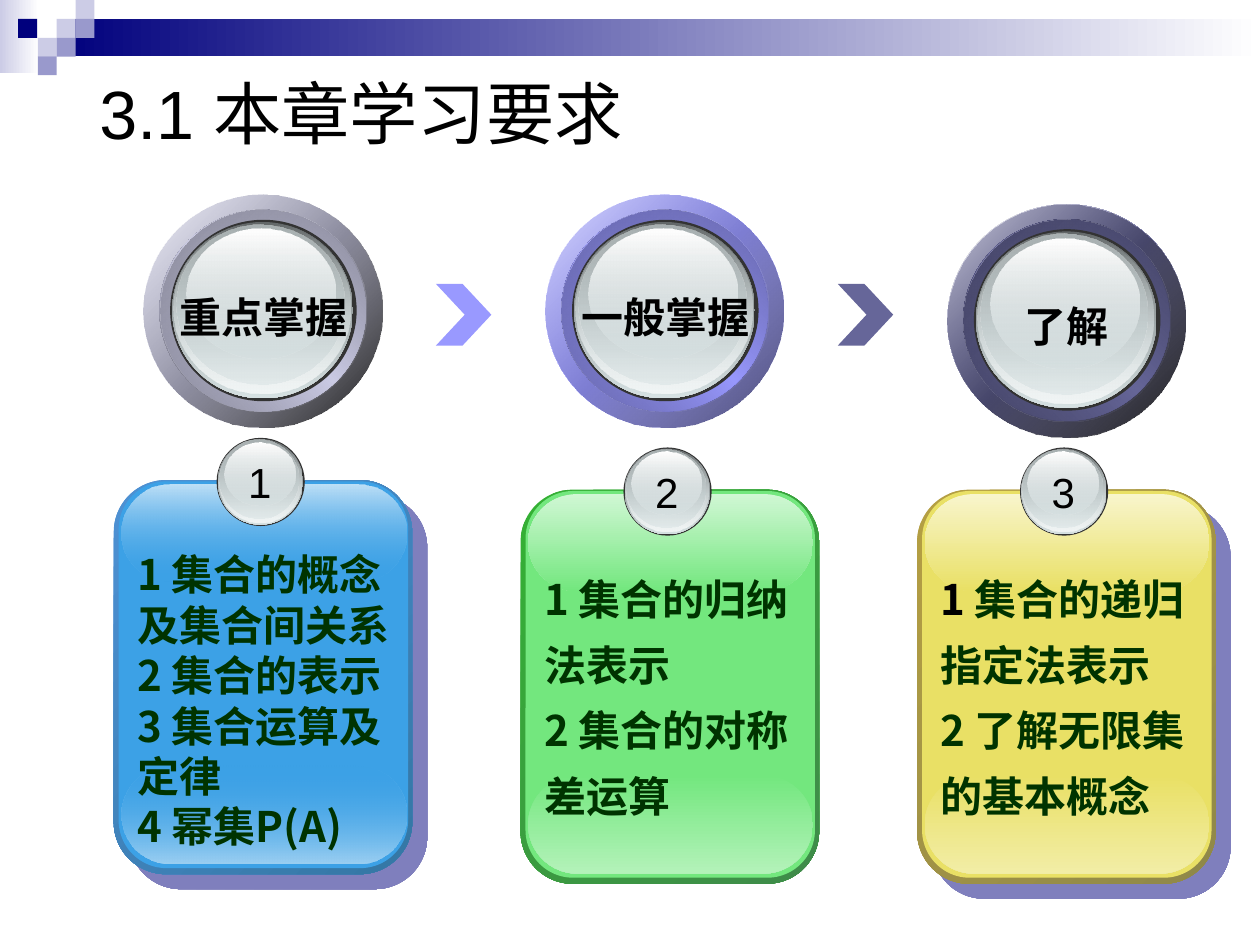
from lxml.etree import SubElement
from pptx import Presentation
from pptx.dml.color import RGBColor
from pptx.enum.shapes import MSO_SHAPE
from pptx.enum.text import MSO_ANCHOR, PP_ALIGN
from pptx.oxml.ns import qn
from pptx.util import Pt

HEX = {
    "white": "FFFFFF", "black": "000000", "navy": "00007D", "pale": "CCCCE6",
    "mauve": "9999CC", "lilac": "9999FF", "slate": "666699", "rim": "333333",
    "steel": "636869", "glass": "D6E1E2", "shine": "F1F5F5", "haze": "AAB2B3",
    "ink": "003300",
}
SANS, CJK = "Arial", "Noto Sans CJK SC"

TITLE = "3.1 本章学习要求"
# left, top, width, height, fill
BANNER = [
    (0, 0, 22.3, 41.8, [(0, "pale"), (100, "white")]),
    (32.4, 10.8, 687.6, 21.3, [(0, "navy"), (100, "white")]),
    (32.4, 10.8, 10.8, 10.8, "pale"), (43.2, 0, 10.8, 10.8, "pale"),
    (43.2, 10.8, 10.8, 10.8, "mauve"), (21.6, 21.6, 10.8, 10.8, "pale"),
    (10.4, 10.8, 10.8, 10.8, "navy"), (32.4, 21.6, 10.8, 10.8, "mauve"),
    (21.6, 32.2, 10.8, 10.8, "mauve"),
]
# label, top, base, deep rim, soft rim, far shade
RINGS = [
    ("重点掌握", 111.4, "pale", "6E6E7C", "828292", (100, "black", 90)),
    ("一般掌握", 111.4, "lilac", "53538A", "6161A2", (100, "474776")),
    ("了解", 116.8, "slate", "373753", "414161", (100, "black", 90)),
]
ARROWS = ["lilac", "slate"]
CARDS = [
    dict(left=65, top=274.3, edge=("4E91D4", "3477A4"), face="3CA1E6",
         light="BEE0F7", glow="9BCFF2", fade=0, shade=True, pitch=1, lead="ink",
         lines=["1 集合的概念及集合间关系", "2 集合的表示", "3 集合运算及定律", "4 幂集P(A)"]),
    dict(left=297.5, top=279.8, edge=("34B034", "3F8B4A"), face="73E77E",
         light="D0F7D4", glow="B3F2B9", fade=100, shade=False, pitch=1.3, lead="ink",
         lines=["1 集合的归纳法表示", "2 集合的对称差运算"]),
    dict(left=524.1, top=279.8, edge=("B59F43", "8F8849"), face="E9E065",
         light="F8F5CC", glow="F2EDA6", fade=100, shade=True, pitch=1.3, lead="black",
         lines=["1 集合的递归指定法表示", "2 了解无限集的基本概念"]),
]
# glass layers as shares of the ball: left, top, width, height, stops
GLASS = [
    (0.012, 0.012, 0.968, 0.972, [(0, "steel"), (100, "glass")]),
    (0.02, 0.015, 0.945, 0.943, [(0, "glass", 0), (100, "shine")]),
    (0.033, 0.025, 0.9, 0.885, [(0, "haze"), (100, "glass", 48)]),
    (0.09, 0.05, 0.798, 0.715, [(0, "white"), (100, "glass", 38)]),
]

deck = Presentation()
deck.slide_width, deck.slide_height = Pt(720), Pt(540)
slide = deck.slides.add_slide(deck.slide_layouts[6])
shapes = slide.shapes


def tint(name):
    return HEX.get(name, name)


def add_hue(node, name, alpha=100):
    hue = SubElement(node, qn("a:srgbClr"), val=tint(name))
    if alpha < 100:
        SubElement(hue, qn("a:alpha"), val=str(alpha * 1000))


def paint(shape, stops, angle):
    """Fill with stops of (percent, colour, opacity), angle clockwise."""
    shape.fill.gradient()
    grad = shape._element.spPr.find(qn("a:gradFill"))
    for child in list(grad):
        grad.remove(child)
    row = SubElement(grad, qn("a:gsLst"))
    for place, *hue in stops:
        add_hue(SubElement(row, qn("a:gs"), pos=str(place * 1000)), *hue)
    SubElement(grad, qn("a:lin"), ang=str(angle * 60000), scaled="0")


def draw(kind, x, y, w, h, fill, angle=90, adj=None):
    shape = shapes.add_shape(kind, Pt(x), Pt(y), Pt(w), Pt(h))
    shape.shadow.inherit = False
    shape.line.fill.background()
    if adj is not None:
        shape.adjustments[0] = adj
    if isinstance(fill, str):
        shape.fill.solid()
        shape.fill.fore_color.rgb = RGBColor.from_string(tint(fill))
    else:
        paint(shape, fill, angle)
    return shape


def cast(shape):
    """Give the shape a hard shadow to the lower right."""
    glow = shape._element.spPr.find(qn("a:effectLst"))
    drop = SubElement(glow, qn("a:outerShdw"), blurRad="0", dist=str(Pt(12.1)),
                      dir="2700000", algn="ctr", rotWithShape="0")
    add_hue(drop, "navy", 50)


def write(x, y, w, h, lines, size=24, font=SANS, bold=False, hue="black",
          lead=None, pitch=None, align=PP_ALIGN.LEFT, wrap=True, anchor=MSO_ANCHOR.TOP):
    """Write lines; lead colours the number that opens the first one."""
    frame = shapes.add_textbox(Pt(x), Pt(y), Pt(w), Pt(h)).text_frame
    frame.word_wrap, frame.vertical_anchor = wrap, anchor
    for i, line in enumerate(lines):
        para = frame.add_paragraph() if i else frame.paragraphs[0]
        para.alignment = align
        if pitch:
            para.line_spacing = pitch
        parts = [(line, hue)]
        if lead and lead != hue and i == 0:
            parts = [(line[:2], lead), (line[2:], hue)]
        for part, shade in parts:
            run = para.add_run()
            run.text = part
            run.font.size, run.font.name, run.font.bold = Pt(size), font, bold
            run.font.color.rgb = RGBColor.from_string(tint(shade))
            SubElement(run.font._element, qn("a:ea"), typeface=CJK)


def ball(x, y, w, h):
    draw(MSO_SHAPE.OVAL, x, y, w, h, "rim")
    for dx, dy, sw, sh, stops in GLASS:
        draw(MSO_SHAPE.OVAL, x + dx * w, y + dy * h, sw * w, sh * h, stops)


def ring(x, y, label, base, deep, soft, far):
    oval = MSO_SHAPE.OVAL
    draw(oval, x, y, 136.2, 133, [(0, "white"), (50, base), (100, "white")], 45)
    draw(oval, x, y, 136.2, 133, [(0, base, 32), far], 45)
    draw(oval, x + 9, y + 8.5, 118, 115.2, [(0, deep), (50, base), (100, deep)], 315)
    draw(oval, x + 9.4, y + 8.6, 118, 115.2, [(0, soft), (100, base, 0)], 45)
    ball(x + 15.1, y + 14.2, 106.6, 103.7)
    write(x, y + 51.5, 136.6, 36, [label], bold=True, align=PP_ALIGN.CENTER, wrap=False)


def card(number, left, top, edge, face, light, glow, fade, shade, pitch, lead, lines):
    box = MSO_SHAPE.ROUNDED_RECTANGLE
    body = draw(box, left, top, 170.6, 225.2, [(0, edge[0]), (100, edge[1])], 45, 0.175)
    if shade:
        cast(body)
    draw(box, left + 2.8, top + 0.8, 165.4, 221, face, adj=0.165)
    draw(box, left + 4.3, top + 163.2, 162.7, 56.2, [(0, face, fade), (100, glow)], adj=0.5)
    draw(box, left + 4.3, top + 2.6, 162.7, 55.4, [(0, light), (100, face, fade)], adj=0.5)
    ball(left + 58.8, top - 24.1, 50.4, 50.4)
    write(left + 58.3, top - 16.7, 50.4, 36, [str(number)], align=PP_ALIGN.CENTER, wrap=False)
    write(left + 6.3, top + 35.8, 162, 180, lines, font=CJK, bold=True,
          hue="ink", lead=lead, pitch=pitch)


for *place, fill in BANNER:
    draw(MSO_SHAPE.RECTANGLE, *place, fill, 0)
write(49.7, 39.3, 560.2, 49.7, [TITLE], size=39, anchor=MSO_ANCHOR.MIDDLE)

STEP = 229.65
for i, hue in enumerate(ARROWS):
    draw(MSO_SHAPE.CHEVRON, 249.1 + i * STEP, 162.2, 31.7, 35.3, hue, adj=0.52)
for i, (label, top, *hues) in enumerate(RINGS):
    ring(82.1 + i * STEP, top, label, *hues)
for number, item in enumerate(CARDS, 1):
    card(number, **item)

deck.save("out.pptx")
